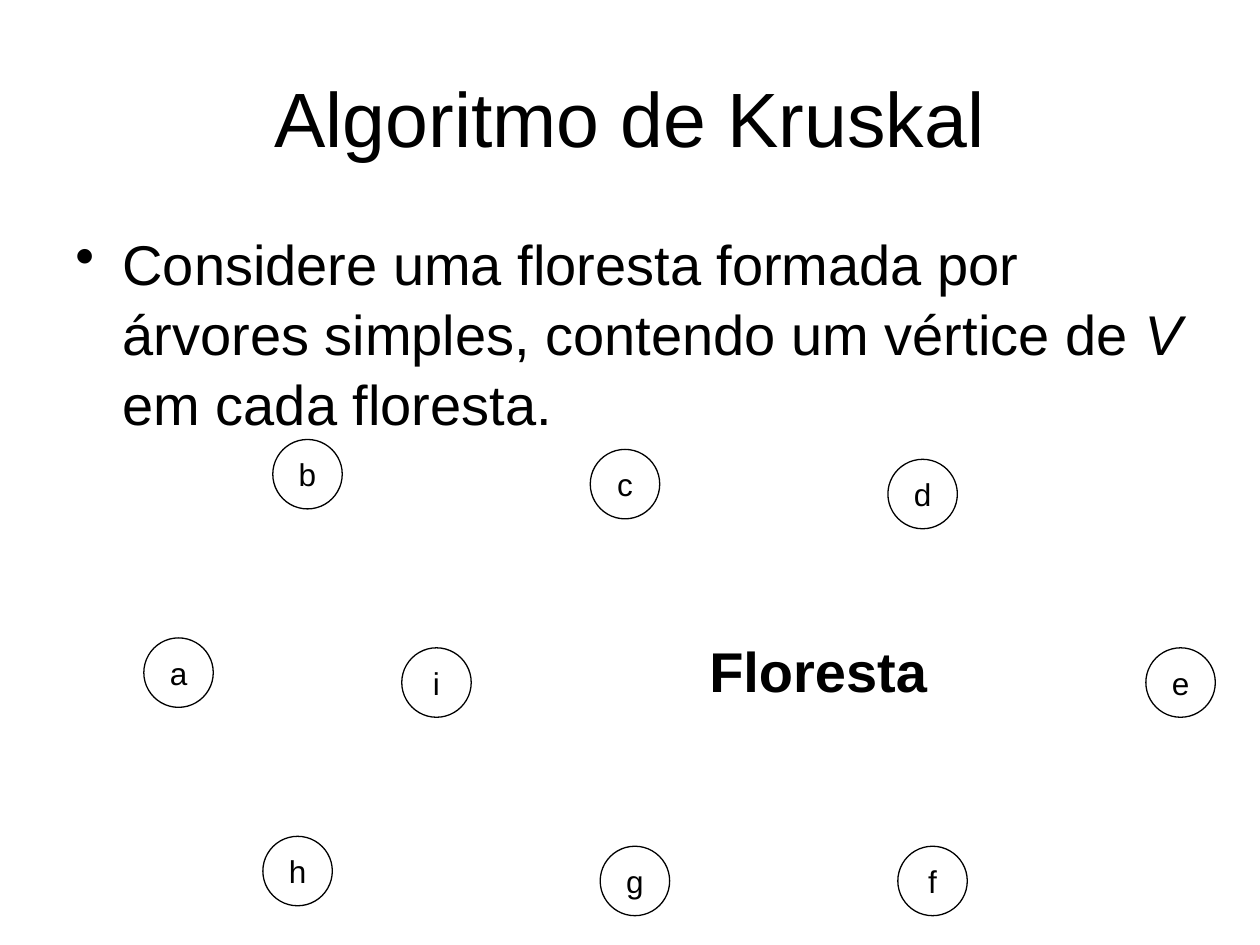
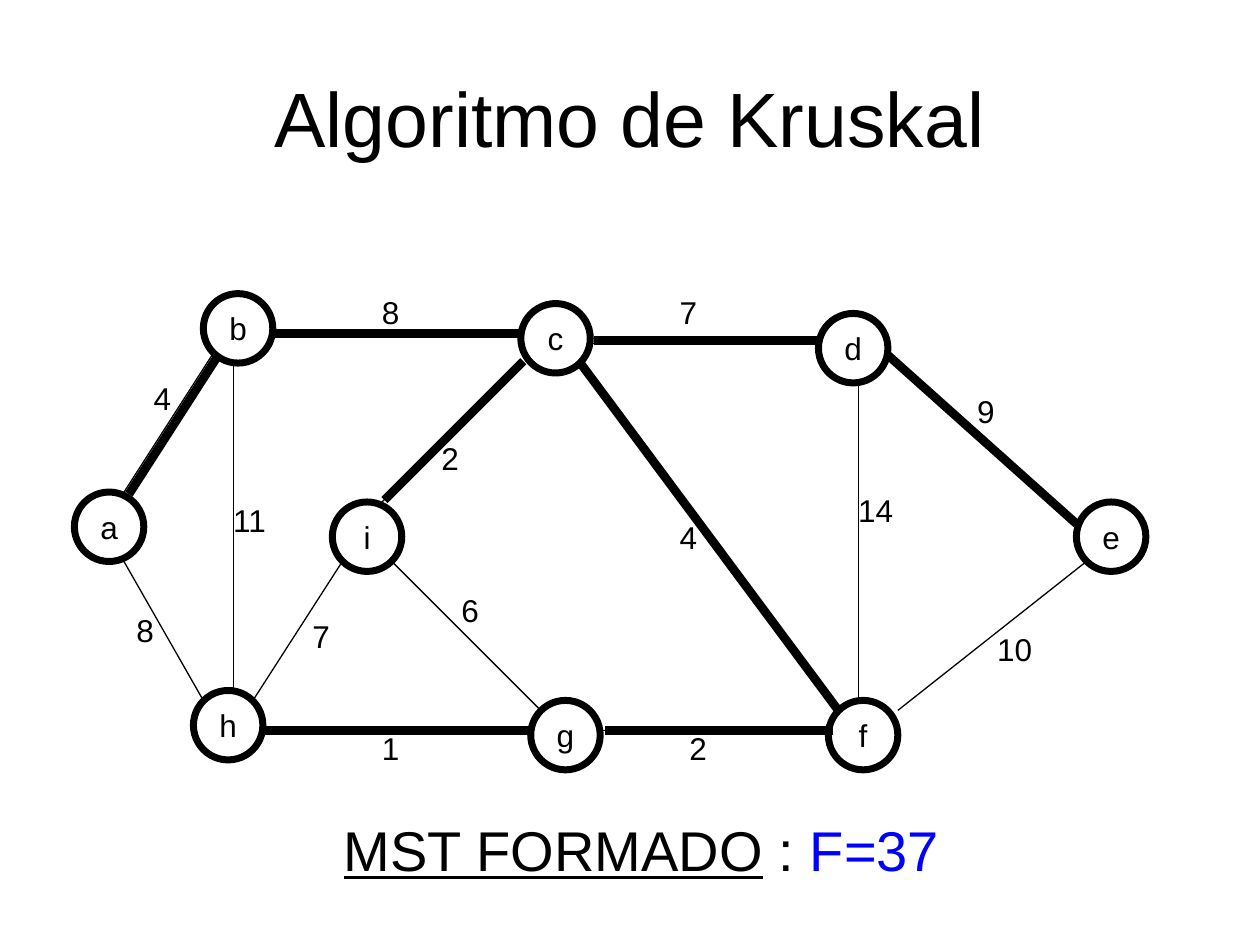
from dataclasses import dataclass

from lxml.etree import SubElement
from pptx import Presentation
from pptx.dml.color import RGBColor
from pptx.enum.shapes import MSO_CONNECTOR as Connector, MSO_SHAPE as Shape
from pptx.enum.text import MSO_ANCHOR as Anchor, PP_ALIGN as Align
from pptx.oxml.ns import qn
from pptx.util import Cm, Pt


@dataclass(frozen=True)
class Theme:
    """Colours, font and sizes that the slides share."""
    ink: RGBColor = RGBColor(0, 0, 0)
    accent: RGBColor = RGBColor(0, 0, 255)
    font: str = "Arial"
    title: int = 44
    body: int = 32
    label: int = 18
    thin: float = 0.75
    ring: float = 4
    tree: float = 5


THEME = Theme()
TITLE = "Algoritmo de Kruskal"
TITLE_BOX = (1.27, 0.76, 22.86, 3.18)
DIAMETER = 1.4

VERTICES = {
    "a": (0, 4), "b": (2.6, 0), "h": (2.4, 8),
    "i": (5.2, 4.2), "c": (9, 0.2), "g": (9.2, 8.2),
    "d": (15, 0.4), "f": (15.2, 8.2), "e": (20.2, 4.2),
}

# Each edge: start, end, weight, place of the weight, shift of its tree line.
EDGES = [
    ((1, 4), (2.8, 1.2), 4, (1.35, 1.6), (0.1, 0.04)),
    ((1, 5.4), (2.6, 8.2), 8, (1, 6.27), None),
    ((3.2, 1.4), (3.2, 8), 11, (2.95, 4.05), None),
    ((4, 0.8), (9, 0.8), 8, (5.95, -0.13), (0.05, 0)),
    ((10.2, 1.4), (15.4, 8.4), 4, (11.95, 4.4), (0, 0)),
    ((10.4, 1), (15, 1), 7, (11.95, -0.13), (0.08, -0.05)),
    ((6.2, 4.2), (9, 1.4), 2, (7.15, 2.8), (0.05, -0.04)),
    ((3.6, 8.2), (5.4, 5.4), 7, (4.55, 6.4), None),
    ((3.8, 8.8), (9.2, 8.8), 1, (5.95, 8.65), (0, 0)),
    ((6.4, 5.4), (9.4, 8.4), 6, (7.55, 5.87), None),
    ((10.6, 8.8), (15.2, 8.8), 2, (12.15, 8.65), (0.1, 0)),
    ((15.8, 1.8), (15.8, 8.2), 14, (15.55, 3.85), None),
    ((16.6, 8.4), (20.4, 5.4), 10, (18.35, 6.65), None),
    ((16.4, 1.2), (20.2, 4.6), 9, (17.95, 1.85), (0, 0.04)),
]


def write(frame, *runs, size=THEME.label, align=Align.LEFT, anchor=Anchor.TOP,
          wrap=False, bullet=None, spacing=None):
    """Fill a frame with one paragraph of (text, font attributes) runs."""
    frame.word_wrap = wrap
    frame.vertical_anchor = anchor
    paragraph = frame.paragraphs[0]
    if bullet:
        properties = paragraph._p.get_or_add_pPr()
        properties.set("marL", str(Cm(0.95)))
        properties.set("indent", str(Cm(-0.95)))
        SubElement(properties, qn("a:buChar")).set("char", bullet)
    paragraph.alignment = align
    paragraph.line_spacing = spacing
    for text, style in runs:
        run = paragraph.add_run()
        run.text = text
        run.font.name = THEME.font
        run.font.size = Pt(size)
        run.font.color.rgb = style.get("color", THEME.ink)
        run.font.bold = style.get("bold")
        run.font.italic = style.get("italic")
        run.font.underline = style.get("underline")


def add_text(slide, box, *runs, **layout):
    """Place a text box, given in centimetres, and return its frame."""
    frame = slide.shapes.add_textbox(*map(Cm, box)).text_frame
    write(frame, *runs, **layout)
    return frame


def add_title(slide):
    """Place the shared slide title."""
    add_text(slide, TITLE_BOX, (TITLE, {}), size=THEME.title,
             align=Align.CENTER, anchor=Anchor.MIDDLE, wrap=True)


def add_vertices(slide, left, top, outline):
    """Draw the labelled vertices of the graph from its top left corner."""
    for name, (x, y) in VERTICES.items():
        vertex = slide.shapes.add_shape(
            Shape.OVAL, Cm(left + x), Cm(top + y), Cm(DIAMETER), Cm(DIAMETER))
        vertex.shadow.inherit = False
        vertex.fill.background()
        vertex.line.color.rgb = THEME.ink
        vertex.line.width = Pt(outline)
        write(vertex.text_frame, (name, {}), align=Align.CENTER,
              anchor=Anchor.MIDDLE)


def add_edge(slide, left, top, start, end, width):
    """Draw one straight edge of the graph."""
    points = [Cm(origin + value) for point in (start, end)
              for origin, value in zip((left, top), point)]
    edge = slide.shapes.add_connector(Connector.STRAIGHT, *points)
    edge.line.color.rgb = THEME.ink
    edge.line.width = Pt(width)
    SubElement(edge.line._get_or_add_ln().getparent(), qn("a:effectLst"))


def add_weighted_edges(slide, left, top):
    """Draw all edges, their weights and the heavy lines of the tree."""
    for start, end, *_ in EDGES:
        add_edge(slide, left, top, start, end, THEME.thin)
    for _, _, weight, (x, y), _ in EDGES:
        width = 0.86 if weight < 10 else 1.22
        add_text(slide, (left + x, top + y, width, 1.02), (str(weight), {}))
    for start, end, _, _, shift in EDGES:
        if shift:
            dx, dy = shift
            add_edge(slide, left + dx, top + dy, start, end, THEME.tree)


def build_forest(slide):
    """Show the vertices as a forest of single trees."""
    add_title(slide)
    statement = add_text(
        slide, (1.27, 4.45, 22.86, 12.57),
        ("Considere uma floresta formada por árvores simples, "
         "contendo um vértice de ", {}),
        ("V", {"italic": True}), (" em cada floresta.", {}),
        size=THEME.body, wrap=True, bullet="•", spacing=1.04)
    statement.margin_right = Cm(0.1)
    add_vertices(slide, 2.9, 8.86, THEME.thin)
    add_text(slide, (14.05, 12.7, 4.9, 1.63), ("Floresta", {"bold": True}),
             size=THEME.body)


def build_spanning_tree(slide):
    """Show the weighted graph with its minimum spanning tree."""
    add_title(slide)
    add_vertices(slide, 1.5, 5.92, THEME.ring)
    add_weighted_edges(slide, 1.5, 5.92)
    add_text(slide, (6.68, 16.31, 12.52, 1.63),
             ("MST FORMADO", {"underline": True}), (" : ", {}),
             ("F=37", {"color": THEME.accent}), size=THEME.body)


def main():
    """Build the slides and save them."""
    deck = Presentation()
    deck.slide_width, deck.slide_height = Cm(25.4), Cm(19.05)
    blank = deck.slide_layouts[6]
    for build in (build_forest, build_spanning_tree):
        build(deck.slides.add_slide(blank))
    deck.save("out.pptx")


if __name__ == "__main__":
    main()
